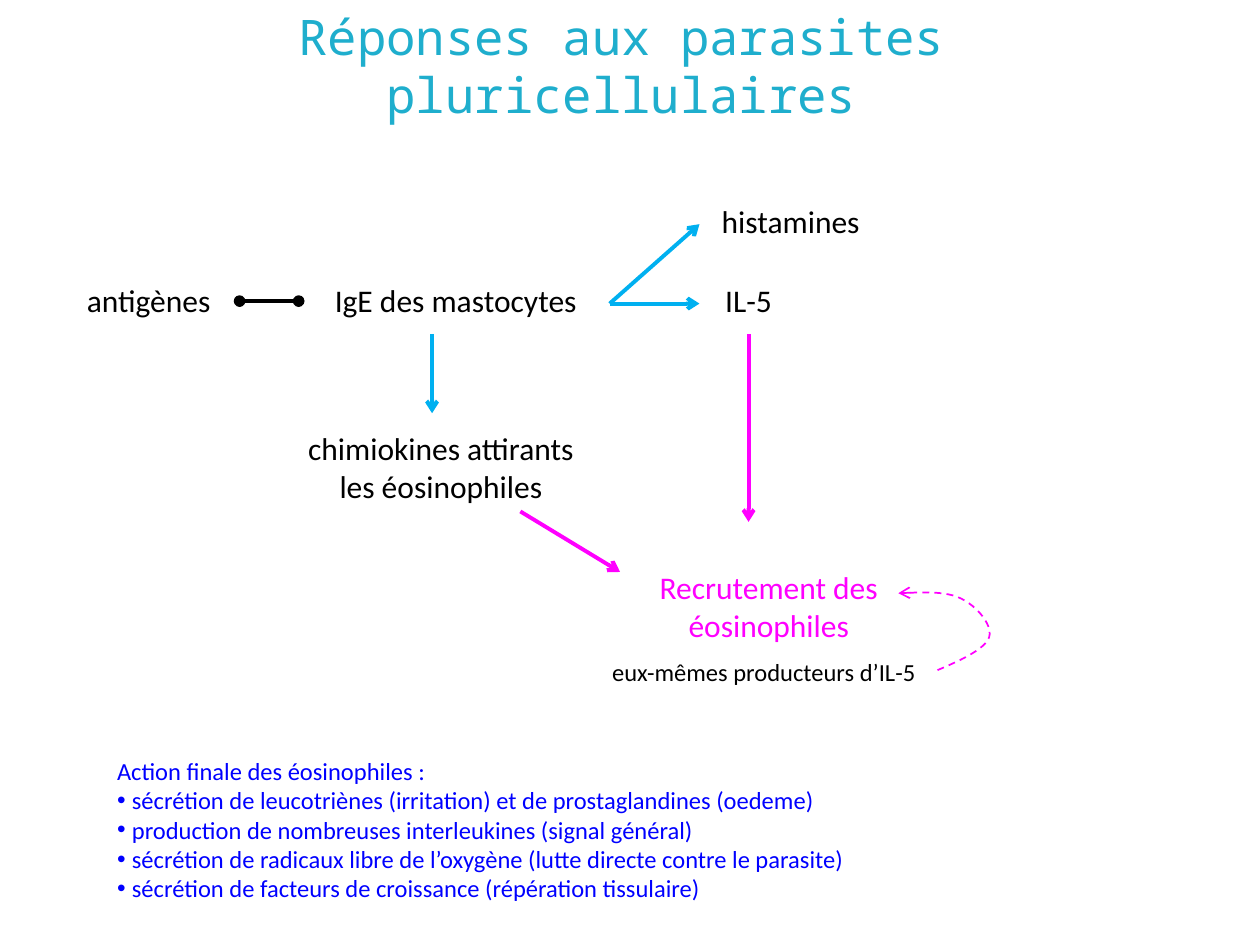
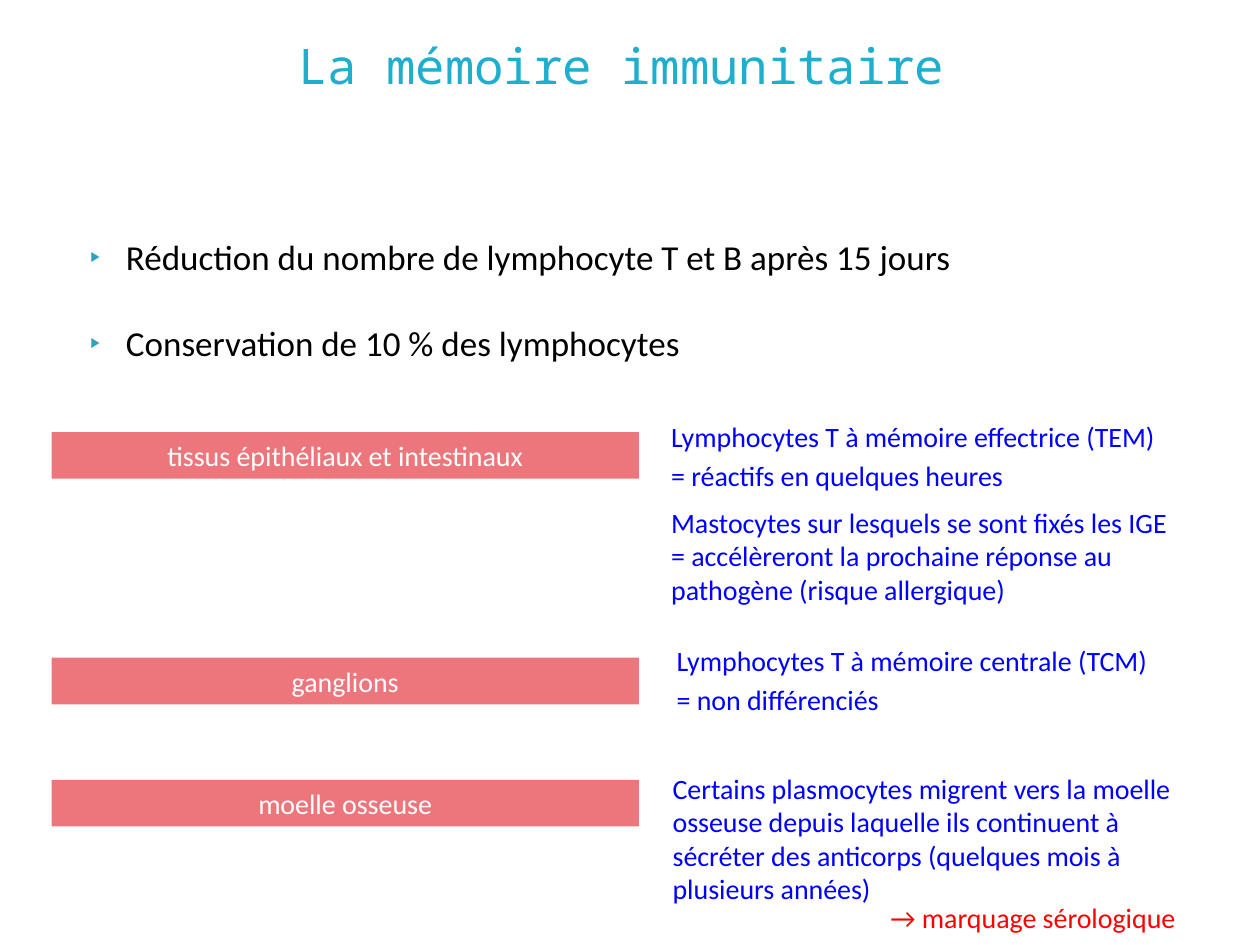
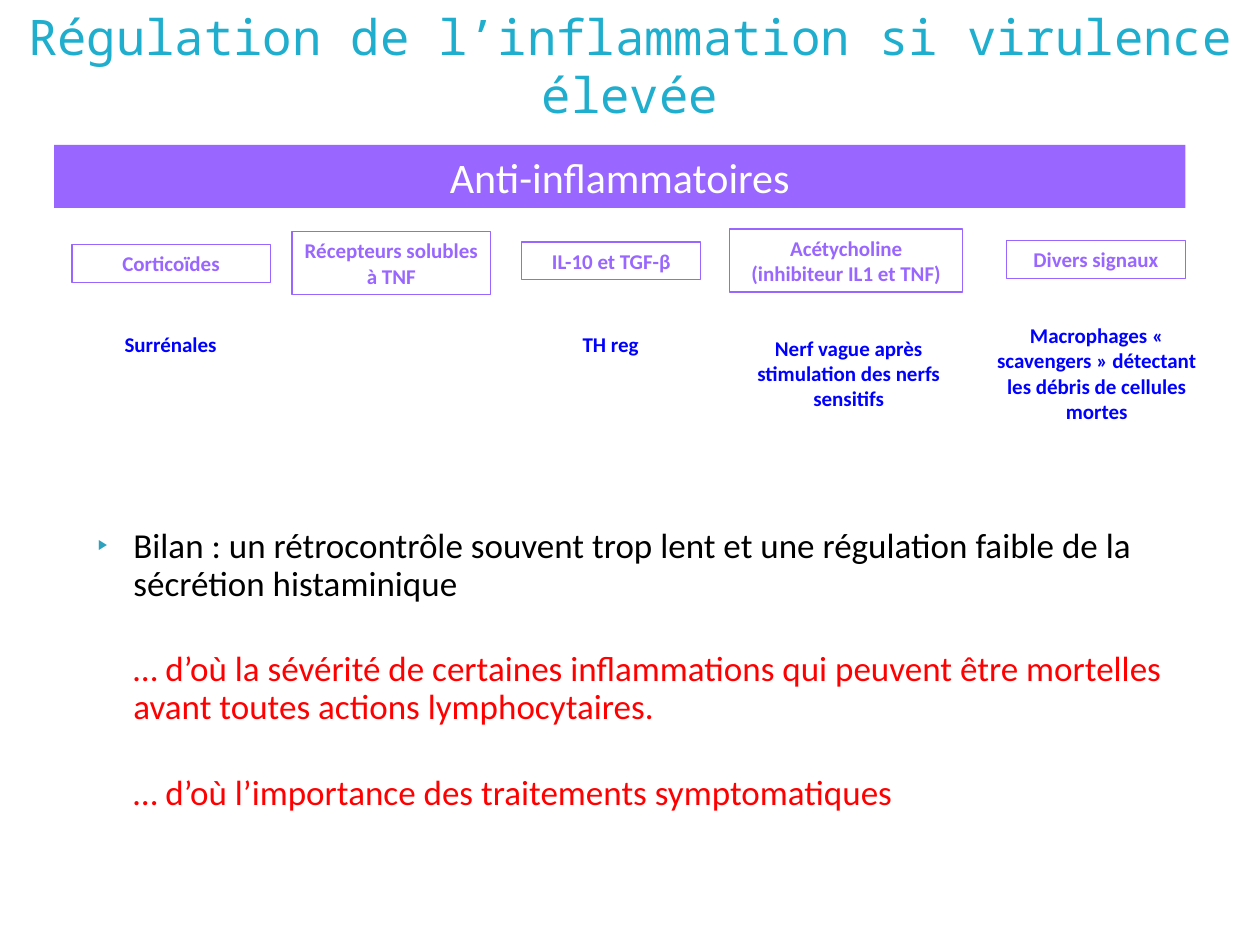
"""Build three slides on parasite responses, immune memory and inflammation control."""
import pptx
import pptx.dml.color
import pptx.enum.dml
import pptx.enum.shapes
import pptx.enum.text
import pptx.oxml.ns
import pptx.util
from lxml import etree

Cm = pptx.util.Cm
Pt = pptx.util.Pt
ALIGN = pptx.enum.text.PP_ALIGN
ANCHOR = pptx.enum.text.MSO_ANCHOR

COLORS = {
    "title": "1FAECD", "black": "000000", "cyan": "00B0F0", "magenta": "FF00FF",
    "blue": "0000FF", "red": "FF0000", "white": "FFFFFF", "coral": "EC767C",
    "violet": "9966FF", "bullet": "2DA2BF",
}
BODY_FONT, TITLE_FONT = "Calibri", "Noto Sans Mono"
TITLE_BOX = (1.1, 0.33, 22.86, 1.96)
WIDE_TITLE_BOX = (0, 0.33, 25.4, 1.96)

PATHWAY = [
    ("antigènes", (1.5, 5.54, 4.39, 1.02), 18, "black", ALIGN.LEFT),
    ("IgE des mastocytes", (6.5, 5.54, 6, 1.02), 18, "black", ALIGN.LEFT),
    ("IL-5", (13.69, 5.54, 2.8, 1.02), 18, "black", ALIGN.CENTER),
    ("histamines", (14.3, 3.94, 3.6, 1.02), 18, "black", ALIGN.LEFT),
    ("chimiokines attirants les éosinophiles", (5.69, 8.53, 6.4, 1.8), 18, "black", ALIGN.CENTER),
    ("Recrutement des éosinophiles", (12.5, 11.33, 6, 1.8), 18, "magenta", ALIGN.CENTER),
    ("eux-mêmes producteurs d’IL-5", (11.5, 13.13, 7.8, 0.86), 14, "black", ALIGN.CENTER),
]
LINKS = [
    ((4.83, 6.07), (6.02, 6.07), "black", "oval", "oval"),
    ((12.29, 6.12), (14.1, 6.12), "cyan", None, "arrow"),
    ((12.29, 6.12), (14.1, 4.52), "cyan", None, "arrow"),
    ((8.71, 6.73), (8.71, 8.33), "cyan", None, "arrow"),
    ((15.09, 6.73), (15.09, 10.52), "magenta", None, "arrow"),
    ((10.49, 10.31), (12.5, 11.53), "magenta", None, "arrow"),
]
FEEDBACK_LOOP = [
    (18.9, 13.51), (19.38, 13.31), (19.86, 13.08), (19.94, 12.85), (20.02, 12.6),
    (19.69, 12.22), (19.38, 12.07), (19.07, 11.91), (18.59, 11.94), (18.11, 11.96),
]
FINAL_ACTION = [
    "Action finale des éosinophiles :",
    "sécrétion de leucotriènes (irritation) et de prostaglandines (oedeme)",
    "production de nombreuses interleukines (signal général)",
    "sécrétion de radicaux libre de l’oxygène (lutte directe contre le parasite)",
    "sécrétion de facteurs de croissance (répération tissulaire)",
]

MEMORY_POINTS = [
    ("Réduction du nombre de lymphocyte T et B après 15 jours", True, "black"),
    ("Conservation de 10 % des lymphocytes", True, "black"),
]
MEMORY_SITES = [
    ("tissus épithéliaux et intestinaux", 8.71),
    ("ganglions", 13.26),
    ("moelle osseuse", 15.72),
]
MEMORY_CELLS = [
    (["Lymphocytes T à mémoire effectrice (TEM)", "= réactifs en quelques heures"],
     (13.28, 8.33, 12.09, 1.73), "blue", 3),
    (["Mastocytes sur lesquels se sont fixés les IGE",
      "= accélèreront la prochaine réponse au pathogène (risque allergique)"],
     (13.28, 10.06, 11.81, 2.31), "blue", 0),
    (["Lymphocytes T à mémoire centrale (TCM)", "= non différenciés"],
     (13.39, 12.85, 12.09, 1.73), "blue", 3),
    (["Certains plasmocytes migrent vers la moelle osseuse depuis laquelle ils continuent à "
      "sécréter des anticorps (quelques mois à plusieurs années)"],
     (13.31, 15.42, 11.4, 3), "blue", 0),
    (["→ marquage sérologique"], (17.7, 18.03, 6.6, 0.94), "red", 0),
]

INHIBITORS = [
    ("Corticoïdes", (1.45, 4.93, 4, 0.76)),
    ("Récepteurs solubles à TNF", (5.89, 4.67, 4, 1.27)),
    ("IL-10 et TGF-β", (10.52, 4.88, 3.61, 0.76)),
    ("Acétycholine (inhibiteur IL1 et TNF)", (14.71, 4.62, 4.7, 1.27)),
    ("Divers signaux", (20.29, 4.85, 3.61, 0.76)),
]
ORIGINS = [
    ("Surrénales", (1.04, 6.55, 4.8, 0.76)),
    ("TH reg", (9.91, 6.55, 4.8, 0.76)),
    ("Nerf vague après stimulation des nerfs sensitifs", (14.71, 6.63, 4.8, 1.8)),
    ("Macrophages « scavengers » détectant les débris de cellules mortes",
     (19.71, 6.38, 4.8, 2.31)),
]
BALANCE = [
    ("Bilan : un rétrocontrôle souvent trop lent et une régulation faible de la "
     "sécrétion histaminique", True, "black"),
    ("… d’où la sévérité de certaines inflammations qui peuvent être mortelles avant "
     "toutes actions lymphocytaires.", False, "red"),
    ("… d’où l’importance des traitements symptomatiques", False, "red"),
]


def rgb(color):
    return pptx.dml.color.RGBColor.from_string(COLORS[color])


def sub(parent, tag, **attributes):
    return etree.SubElement(parent, pptx.oxml.ns.qn(tag), attributes)


def write(frame, lines, size, color, align=ALIGN.LEFT, bold=False, font=BODY_FONT, gap=0):
    frame.word_wrap = True
    frame.text = "\n".join(lines)
    for index, paragraph in enumerate(frame.paragraphs):
        paragraph.alignment = align
        if index and gap:
            paragraph.space_before = Pt(gap)
        for run in paragraph.runs:
            run.font.name, run.font.size, run.font.bold = font, Pt(size), bold
            run.font.color.rgb = rgb(color)


def add_text(slide, lines, box, size, color, **style):
    frame = slide.shapes.add_textbox(*map(Cm, box)).text_frame
    write(frame, lines, size, color, **style)
    return frame


def add_box(slide, label, box, size, color, fill=None, line=None, bold=False):
    shape = slide.shapes.add_shape(pptx.enum.shapes.MSO_SHAPE.RECTANGLE, *map(Cm, box))
    shape.shadow.inherit = False
    for part, paint in ((shape.fill, fill), (shape.line.fill, line)):
        if paint:
            part.solid()
            part.fore_color.rgb = rgb(paint)
        else:
            part.background()
    if line:
        shape.line.width = Pt(0.75)
    write(shape.text_frame, [label], size, color, align=ALIGN.CENTER, bold=bold)
    shape.text_frame.vertical_anchor = ANCHOR.MIDDLE


def set_bullet(paragraph, character, indent, color=None, percent=100):
    properties = paragraph._p.get_or_add_pPr()
    properties.set("marL", str(Cm(indent)))
    properties.set("indent", str(-Cm(indent if color is None else 0.71)))
    if color:
        sub(sub(properties, "a:buClr"), "a:srgbClr", val=COLORS[color])
    sub(properties, "a:buSzPct", val=str(percent * 1000))
    sub(properties, "a:buFont", typeface="Arial")
    sub(properties, "a:buChar", char=character)


def add_points(slide, points, box):
    frame = add_text(slide, [text for text, _, _ in points], box, 20, "black", gap=27.5)
    for paragraph, (_, bulleted, color) in zip(frame.paragraphs, points):
        paragraph.line_spacing = 0.9
        paragraph.runs[0].font.color.rgb = rgb(color)
        if bulleted:
            set_bullet(paragraph, "▶", 1.02, "bullet", 40)
        else:
            paragraph._p.get_or_add_pPr().set("marL", str(Cm(1.02)))


def style_line(shape, color, width, head, tail, dash=None):
    shape.line.color.rgb = rgb(color)
    shape.line.width = Pt(width)
    if dash:
        shape.line.dash_style = dash
    for tag, end in (("a:headEnd", head), ("a:tailEnd", tail)):
        if end:
            sub(shape.line._get_or_add_ln(), tag, type=end)


def add_link(slide, start, end, color, head, tail):
    straight = pptx.enum.shapes.MSO_CONNECTOR.STRAIGHT
    link = slide.shapes.add_connector(straight, *map(Cm, start + end))
    style_line(link, color, 2.25, head, tail)
    sub(link._element.spPr, "a:effectLst")


def bezier(controls, t):
    weights = ((1 - t) ** 3, 3 * t * (1 - t) ** 2, 3 * t * t * (1 - t), t ** 3)
    return tuple(Cm(sum(w * c for w, c in zip(weights, axis))) for axis in zip(*controls))


def add_curve(slide, controls, color, steps=12):
    points = [bezier(controls[first:first + 4], step / steps)
              for first in range(0, len(controls) - 1, 3) for step in range(1, steps + 1)]
    builder = slide.shapes.build_freeform(*map(Cm, controls[0]))
    builder.add_line_segments(points, close=False)
    curve = builder.convert_to_shape()
    curve.shadow.inherit = False
    curve.fill.background()
    style_line(curve, color, 1, None, "arrow", pptx.enum.dml.MSO_LINE.DASH)


def add_slide(deck, title, box=TITLE_BOX):
    slide = deck.slides.add_slide(deck.slide_layouts[6])
    frame = add_text(slide, [title], box, 28, "title", align=ALIGN.CENTER, font=TITLE_FONT)
    frame.vertical_anchor = ANCHOR.MIDDLE
    return slide


def build_parasites(deck):
    slide = add_slide(deck, "Réponses aux parasites pluricellulaires")
    for label, box, size, color, align in PATHWAY:
        add_text(slide, [label], box, size, color, align=align)
    for link in LINKS:
        add_link(slide, *link)
    add_curve(slide, FEEDBACK_LOOP, "magenta")
    action = add_text(slide, FINAL_ACTION, (2.11, 15.11, 19, 3.25), 14, "blue")
    for paragraph in action.paragraphs[1:]:
        set_bullet(paragraph, "•", 0.3)


def build_memory(deck):
    slide = add_slide(deck, "La mémoire immunitaire")
    add_points(slide, MEMORY_POINTS, (1.27, 4.72, 22.86, 3))
    for site, top in MEMORY_SITES:
        add_box(slide, site, (1.04, top, 11.84, 0.94), 16, "white", fill="coral")
    for lines, box, color, gap in MEMORY_CELLS:
        add_text(slide, lines, box, 16, color, gap=gap)


def build_regulation(deck):
    slide = add_slide(deck, "Régulation de l’inflammation si virulence élevée", WIDE_TITLE_BOX)
    add_points(slide, BALANCE, (1.42, 10.52, 22.86, 6.55))
    add_box(slide, "Anti-inflammatoires", (1.09, 2.92, 22.81, 1.27), 24, "white", fill="violet")
    for inhibitor, box in INHIBITORS:
        add_box(slide, inhibitor, box, 12, "violet", line="violet", bold=True)
    for origin, box in ORIGINS:
        add_text(slide, [origin], box, 12, "blue", align=ALIGN.CENTER, bold=True)


def main():
    deck = pptx.Presentation()
    deck.slide_width, deck.slide_height = Cm(25.4), Cm(19.05)
    build_parasites(deck)
    build_memory(deck)
    build_regulation(deck)
    deck.save("out.pptx")


if __name__ == "__main__":
    main()
